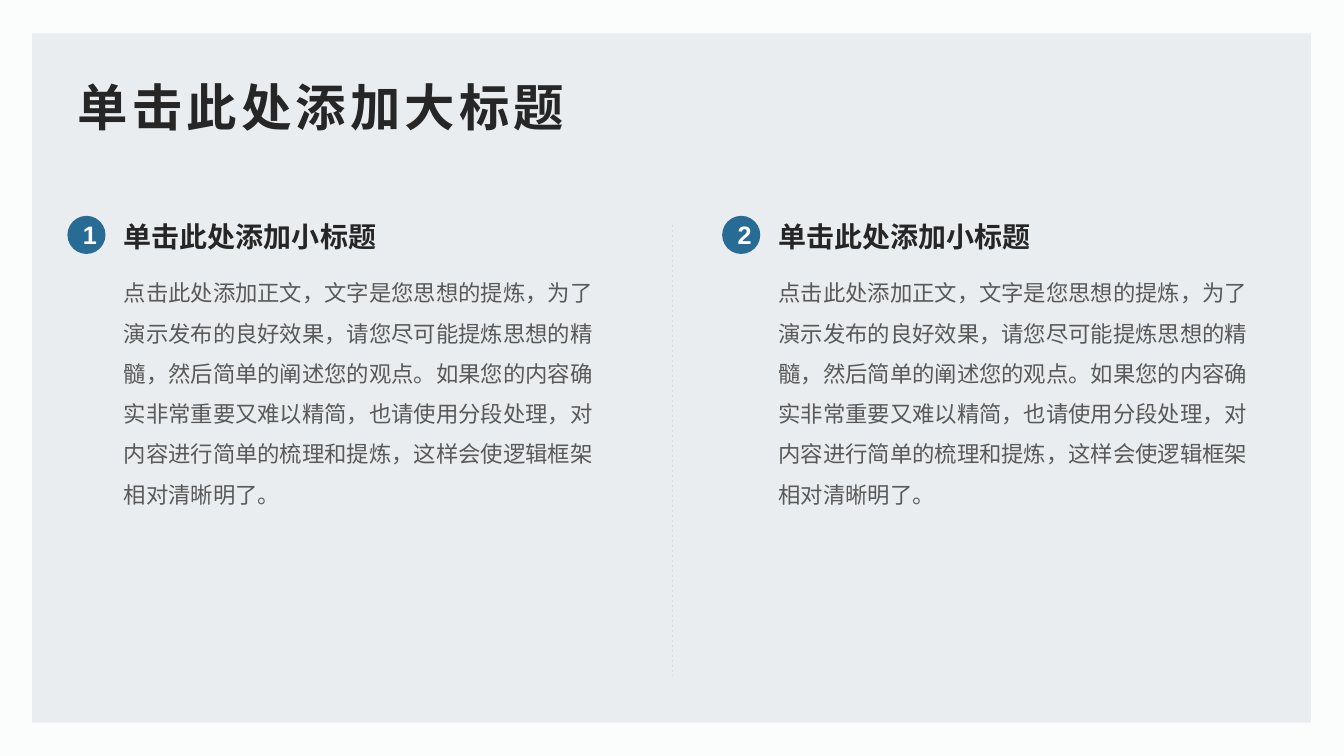
from lxml import etree
from pptx import Presentation
from pptx.dml.color import RGBColor
from pptx.enum.dml import MSO_LINE
from pptx.enum.shapes import MSO_CONNECTOR, MSO_SHAPE
from pptx.enum.text import MSO_ANCHOR, MSO_AUTO_SIZE, PP_ALIGN
from pptx.oxml.ns import qn
from pptx.util import Cm, Pt

RECT, OVAL = MSO_SHAPE.RECTANGLE, MSO_SHAPE.OVAL
LEFT, MID = PP_ALIGN.LEFT, PP_ALIGN.CENTER
TOP, CENTER = MSO_ANCHOR.TOP, MSO_ANCHOR.MIDDLE
FACE = "Arial"
BODY = ("点击此处添加正文，文字是您思想的提炼，为了演示发布的良好效果，"
        "请您尽可能提炼思想的精髓，然后简单的阐述您的观点。"
        "如果您的内容确实非常重要又难以精简，也请使用分段处理，"
        "对内容进行简单的梳理和提炼，这样会使逻辑框架相对清晰明了。")


def paint(color, code):
    color.rgb = RGBColor.from_string(code)


def write(shape, text, size, code, bold=True, align=LEFT, anchor=TOP):
    frame = shape.text_frame
    look = {"word_wrap": True, "auto_size": MSO_AUTO_SIZE.NONE,
            "vertical_anchor": anchor}
    for name, value in look.items():
        setattr(frame, name, value)
    para = frame.paragraphs[0]
    para.alignment = align
    run = para.add_run()
    run.text = text
    for name, value in {"name": FACE, "size": Pt(size), "bold": bold}.items():
        setattr(run.font, name, value)
    paint(run.font.color, code)
    # East Asian letters use the same face
    props = run._r.get_or_add_rPr()
    etree.SubElement(props, qn("a:ea")).set("typeface", FACE)
    return para


deck = Presentation()
deck.slide_width, deck.slide_height = Cm(33.87), Cm(19.05)
slide = deck.slides.add_slide(deck.slide_layouts[5])
shapes = slide.shapes
fill = slide.background.fill
fill.solid()
paint(fill.fore_color, "FBFCFC")

# Panel
panel = shapes.add_shape(RECT, Cm(0.81), Cm(0.84), Cm(32.23), Cm(17.37))
panel.shadow.inherit = False
panel.fill.solid()
paint(panel.fill.fore_color, "EAEDEF")
panel.line.fill.background()

# Title, brought in front of the panel
title = shapes.title
place = {"left": 1.7, "top": 1.7, "width": 30.48, "height": 1.96}
for name, value in place.items():
    setattr(title, name, Cm(value))
para = write(title, "单击此处添加大标题", 36, "262626", anchor=CENTER)
para.runs[0]._r.get_or_add_rPr().set("spc", "300")
panel._element.addnext(title._element)

# Two numbered columns
for index in range(2):
    left = 1.7 + 16.5 * index
    text = shapes.add_textbox(Cm(left + 1.17), Cm(6.58), Cm(12.8), Cm(10.8))
    para = write(text, BODY, 16, "595959", bold=False)
    para.line_spacing = 1.5

    head = shapes.add_textbox(Cm(left + 1.17), Cm(5.41), Cm(12.8), Cm(1.12))
    write(head, "单击此处添加小标题", 20, "262626")

    badge = shapes.add_shape(OVAL, Cm(left), Cm(5.44), Cm(0.96), Cm(0.96))
    badge.shadow.inherit = False
    badge.fill.solid()
    paint(badge.fill.fore_color, "286C95")
    badge.line.fill.background()
    write(badge, str(index + 1), 18, "FFFFFF", align=MID, anchor=CENTER)

# Dashed divider
rule = shapes.add_connector(MSO_CONNECTOR.STRAIGHT,
                            Cm(16.94), Cm(5.66), Cm(16.94), Cm(17.02))
rule.line.width = Pt(0.5)
rule.line.dash_style = MSO_LINE.DASH
paint(rule.line.color, "D9D9D9")
etree.SubElement(rule._element.spPr, qn("a:effectLst"))

deck.save("out.pptx")
